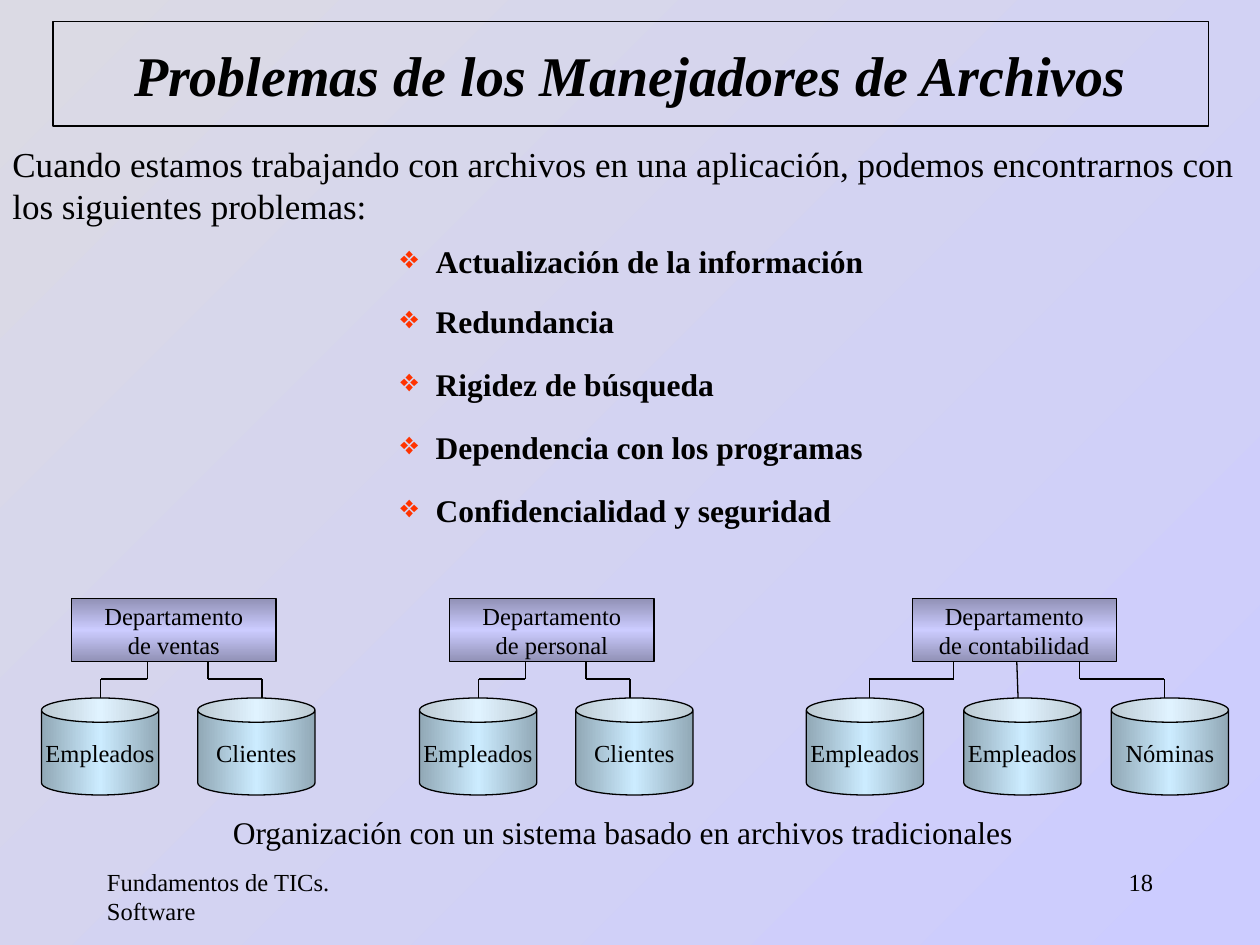
from lxml.etree import SubElement
from pptx import Presentation
from pptx.dml.color import RGBColor
from pptx.enum.shapes import MSO_CONNECTOR, MSO_SHAPE
from pptx.enum.text import MSO_ANCHOR, PP_ALIGN
from pptx.oxml.ns import qn
from pptx.util import Inches, Pt

FONT = "Times New Roman"
BLACK = "000000"
EDGE_SHADE = 46275  # share of the base colour, in thousandths of a percent

BOX_TOP, BOX_WIDTH, BOX_HEIGHT = 4.75, 1.62, 0.5
FILE_TOP, FILE_WIDTH, FILE_HEIGHT = 5.54, 0.93, 0.77
BOX_BOTTOM, BEND = BOX_TOP + BOX_HEIGHT, 5.39

# Second line of the name, box left, files (name, left), branches (x at box, x at file)
DEPARTMENTS = [
    ("de ventas", 0.57,
     [("Empleados", 0.33), ("Clientes", 1.57)],
     [(1.17, 0.8), (1.65, 2.08)]),
    ("de personal", 3.57,
     [("Empleados", 3.33), ("Clientes", 4.57)],
     [(4.17, 3.8), (4.65, 5)]),
    ("de contabilidad", 7.24,
     [("Empleados", 6.4), ("Empleados", 7.65), ("Nóminas", 8.82)],
     [(7.57, 6.9), (8.57, 9.24)]),
]
PROBLEMS = [
    ("Actualización de la información", 1.87),
    ("Redundancia", 2.35),
    ("Rigidez de búsqueda", 2.85),
    ("Dependencia con los programas", 3.35),
    ("Confidencialidad y seguridad", 3.85),
]


def color(hex_code):
    return RGBColor.from_string(hex_code)


def inches(*lengths):
    return [Inches(length) for length in lengths]


def outline(line):
    line.color.rgb = color(BLACK)
    line.width = Pt(0.75)


def write(shape, text, size=14, bold=False, italic=False, align=PP_ALIGN.LEFT,
          anchor=MSO_ANCHOR.TOP, wrap=True):
    """Fill a shape with text, one paragraph for each line."""
    frame = shape.text_frame
    frame.text = text
    frame.word_wrap = wrap
    frame.vertical_anchor = anchor
    for paragraph in frame.paragraphs:
        paragraph.alignment = align
        font = paragraph.runs[0].font
        font.name, font.size = FONT, Pt(size)
        font.bold, font.italic = bold, italic
        font.color.rgb = color(BLACK)


def add_text(slide, text, left, top, width, height, **text_format):
    box = slide.shapes.add_textbox(*inches(left, top, width, height))
    write(box, text, **text_format)
    return box


def add_problem(slide, text, top):
    box = add_text(slide, text, 3.08, top, 5.5, 0.4, size=18, bold=True)
    properties = box.text_frame.paragraphs[0]._p.get_or_add_pPr()
    properties.set("marL", str(Inches(0.28)))
    properties.set("indent", str(-Inches(0.28)))
    bullet_color = SubElement(properties, qn("a:buClr"))
    SubElement(bullet_color, qn("a:srgbClr"), val="FF3300")
    SubElement(properties, qn("a:buChar"), char="❖")


def fill_shaded(fill, base, angle):
    """Gradient with the base colour in the middle and its shade at both edges."""
    fill.gradient()
    fill.gradient_angle = angle
    stops = fill._xPr.find(qn("a:gradFill")).find(qn("a:gsLst"))
    for stop in list(stops):
        stops.remove(stop)
    for position in (0, 50000, 100000):
        stop = SubElement(stops, qn("a:gs"), pos=str(position))
        stop_color = SubElement(stop, qn("a:srgbClr"), val=base)
        if position != 50000:
            SubElement(stop_color, qn("a:shade"), val=str(EDGE_SHADE))


def add_node(group, kind, text, left, top, width, height, base, angle):
    node = group.shapes.add_shape(kind, *inches(left, top, width, height))
    node.shadow.inherit = False
    fill_shaded(node.fill, base, angle)
    outline(node.line)
    write(node, text, align=PP_ALIGN.CENTER, anchor=MSO_ANCHOR.MIDDLE, wrap=False)


def add_line(group, x1, y1, x2, y2):
    line = group.shapes.add_connector(MSO_CONNECTOR.STRAIGHT, *inches(x1, y1, x2, y2))
    outline(line.line)
    SubElement(line._element.spPr, qn("a:effectLst"))


def add_department(slide, name, box_left, files, branches):
    group = slide.shapes.add_group_shape()
    add_node(group, MSO_SHAPE.RECTANGLE, f"Departamento\n{name}",
             box_left, BOX_TOP, BOX_WIDTH, BOX_HEIGHT, "CCCCFF", 270)
    for file_name, left in files:
        add_node(group, MSO_SHAPE.CAN, file_name,
                 left, FILE_TOP, FILE_WIDTH, FILE_HEIGHT, "CCECFF", 0)
    for box_x, file_x in branches:
        add_line(group, box_x, BOX_BOTTOM, box_x, BEND)
        add_line(group, box_x, BEND, file_x, BEND)
        add_line(group, file_x, BEND, file_x, FILE_TOP)
    if len(files) == 3:
        add_line(group, 8.07, BOX_BOTTOM, 8.08, FILE_TOP)


def paint_background(slide):
    fill = slide.background.fill
    fill.gradient()
    fill.gradient_angle = 315
    for stop, position, hex_code in zip(fill.gradient_stops, (0, 1), ("DBDAE4", "CCCCFF")):
        stop.position = position
        stop.color.rgb = color(hex_code)


def main():
    deck = Presentation()
    deck.slide_width, deck.slide_height = inches(10, 7.5)
    slide = deck.slides.add_slide(deck.slide_layouts[6])
    paint_background(slide)

    add_text(slide, "Fundamentos de TICs. Software", 0.75, 6.83, 2.08, 0.5)
    add_text(slide, "18", 7.17, 6.83, 2.08, 0.5, align=PP_ALIGN.RIGHT)
    title = add_text(slide, "Problemas de los Manejadores de Archivos", 0.42, 0.17, 9.17, 0.83,
                     size=32, bold=True, italic=True,
                     align=PP_ALIGN.CENTER, anchor=MSO_ANCHOR.MIDDLE)
    outline(title.line)

    for department in DEPARTMENTS:
        add_department(slide, *department)
    add_text(slide, "Organización con un sistema basado en archivos tradicionales",
             1.75, 6.4, 6.83, 0.4, size=18)

    add_text(slide, "Cuando estamos trabajando con archivos en una aplicación, "
             "podemos encontrarnos con los siguientes problemas:",
             0, 1.08, 10, 0.77, size=20)
    for problem, top in PROBLEMS:
        add_problem(slide, problem, top)

    deck.save("out.pptx")


if __name__ == "__main__":
    main()
